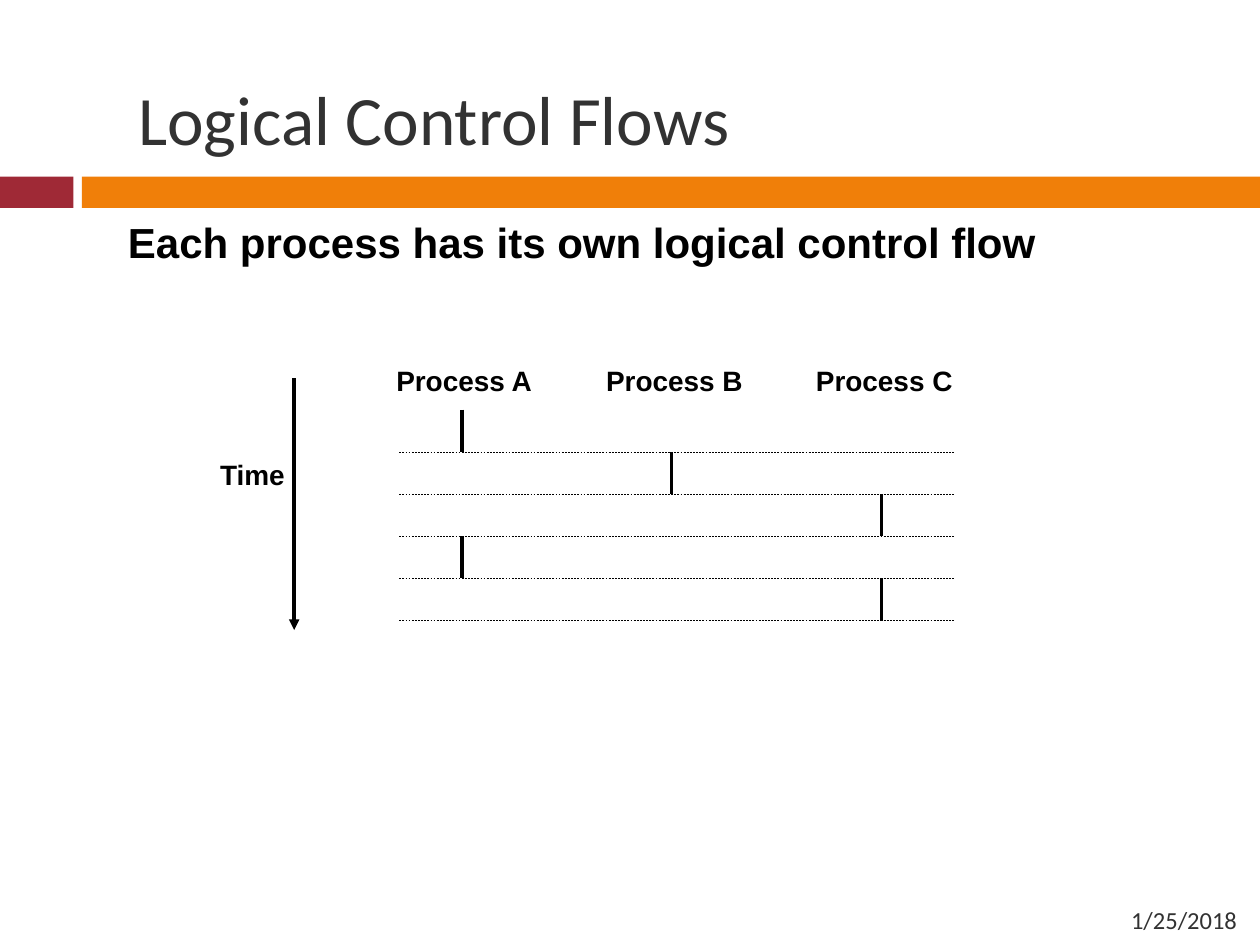
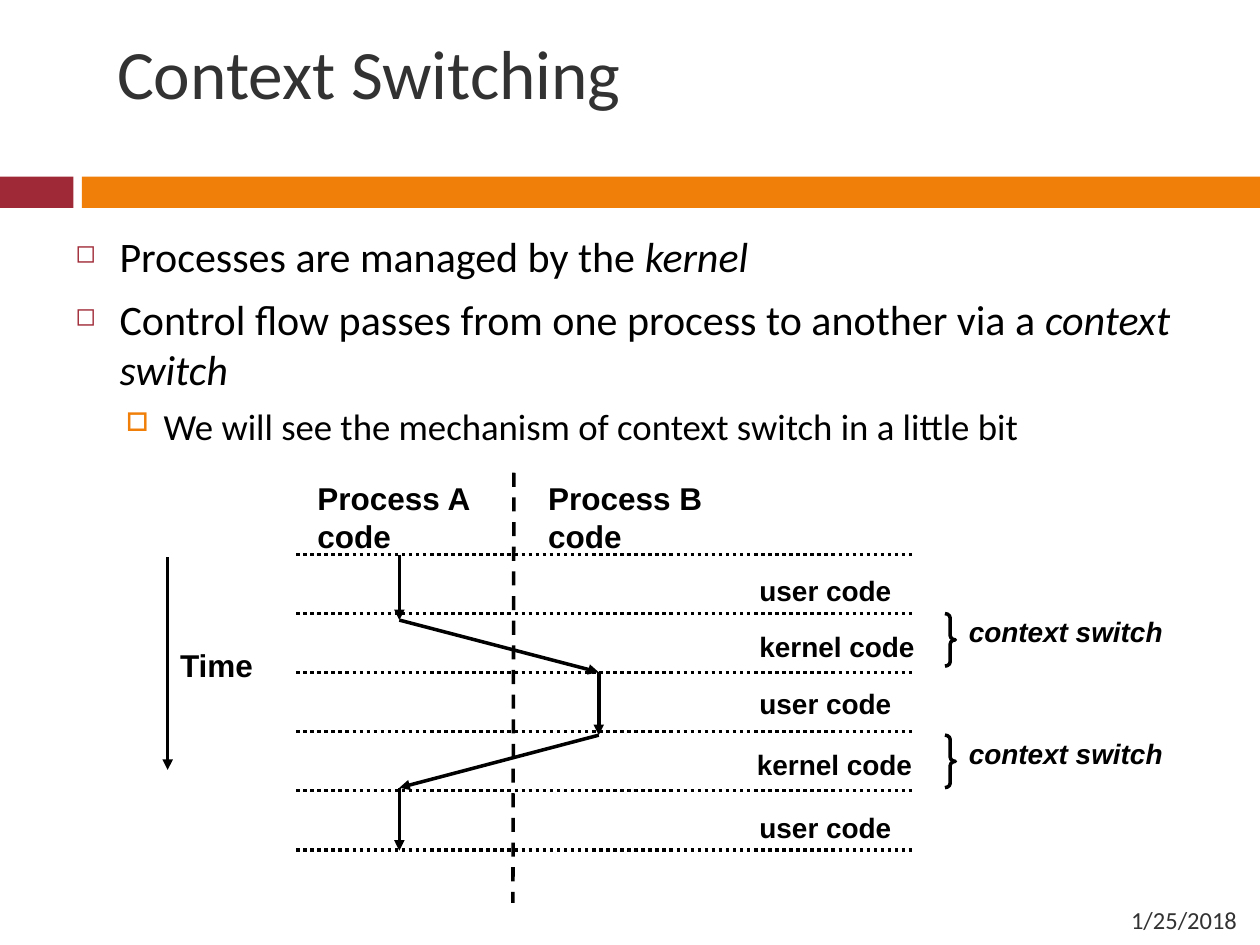
from itertools import pairwise

from lxml import etree
from pptx import Presentation
from pptx.dml.color import RGBColor
from pptx.enum import dml, shapes, text
from pptx.oxml import ns
from pptx.util import Cm, Pt

COLORS = {
    "crimson": "9F2936",
    "orange": "F07F09",
    "charcoal": "323232",
    "black": "000000",
}
FORMATS = {
    "title": {"name": "Calibri", "size": Pt(39.6)},
    "date": {"name": "Calibri", "size": Pt(14)},
    "headline": {"name": "Arial", "size": Pt(24), "bold": True},
    "heading": {"name": "Arial", "size": Pt(18), "bold": True},
    "label": {"name": "Arial", "size": Pt(16), "bold": True},
    "remark": {"name": "Arial", "size": Pt(16), "bold": True, "italic": True},
    "point": {"name": "Calibri", "size": Pt(24)},
    "subpoint": {"name": "Calibri", "size": Pt(21)},
}
DASH = dml.MSO_LINE.DASH
DOTS = dml.MSO_LINE.ROUND_DOT


def add_text(slide, left, top, width, height, lines, style, color="black", **frame_format):
    """Add a text box; each line is a list of (words, italic) runs or a string."""
    box = slide.shapes.add_textbox(Cm(left), Cm(top), Cm(width), Cm(height))
    frame = box.text_frame
    frame.word_wrap = False
    for name, value in frame_format.items():
        setattr(frame, name, value)
    for index, line in enumerate(lines):
        paragraph = frame.add_paragraph() if index else frame.paragraphs[0]
        runs = [(line, None)] if isinstance(line, str) else line
        for words, italic in runs:
            run = paragraph.add_run()
            run.text = words
            for name, value in FORMATS[style].items():
                setattr(run.font, name, value)
            if italic:
                run.font.italic = True
            run.font.color.rgb = RGBColor.from_string(COLORS[color])
    return frame


def add_line(slide, start, end, width=2, dash=None, arrow=False):
    """Draw a straight black line between two points, with an optional arrowhead."""
    connector = slide.shapes.add_connector(
        shapes.MSO_CONNECTOR.STRAIGHT, *(Cm(length) for length in (*start, *end)))
    connector.line.width = Pt(width)
    connector.line.color.rgb = RGBColor.from_string(COLORS["black"])
    if dash:
        connector.line.dash_style = dash
    if arrow:
        etree.SubElement(connector.line._get_or_add_ln(), ns.qn("a:tailEnd"), type="triangle")
    etree.SubElement(connector._element.spPr, ns.qn("a:effectLst"))


presentation = Presentation()
presentation.slide_width, presentation.slide_height = Cm(25.4), Cm(19.05)

# What both slides share: bands, title and date
titles = [
    ("Logical Control Flows", 2.54, 1.57),
    ("Context Switching", 2.11, 0.64),
]
for title, left, top in titles:
    slide = presentation.slides.add_slide(presentation.slide_layouts[6])
    for band_left, band_width, color in ((0, 1.48, "crimson"), (1.65, 23.75, "orange")):
        band = slide.shapes.add_shape(
            shapes.MSO_SHAPE.RECTANGLE, Cm(band_left), Cm(3.56), Cm(band_width), Cm(0.63))
        band.shadow.inherit = False
        band.fill.solid()
        band.fill.fore_color.rgb = RGBColor.from_string(COLORS[color])
        band.line.fill.background()
    add_text(slide, left, top, 16.5, 1.6, [title], "title", "charcoal",
             word_wrap=True, vertical_anchor=text.MSO_ANCHOR.MIDDLE)
    date = add_text(slide, 17.78, 18.03, 7.41, 1.02, ["1/25/2018"], "date", "charcoal",
                    word_wrap=True, vertical_anchor=text.MSO_ANCHOR.MIDDLE)
    date.paragraphs[0].alignment = text.PP_ALIGN.RIGHT

flows_slide, switching_slide = presentation.slides

# Logical control flows: one column per process, one row per time slice
add_text(flows_slide, 2.33, 4.23, 18.82, 1.27,
         ["Each process has its own logical control flow"], "headline")
add_line(flows_slide, (5.93, 7.62), (5.93, 12.7), arrow=True)
add_text(flows_slide, 4.19, 9.1, 1.83, 0.94, ["Time"], "label")

column_left, column_step = 9.31, 4.23
slice_top, slice_step = 8.26, 0.85
for column, process in enumerate("ABC"):
    add_text(flows_slide, column_left - 1.57 + column * column_step, 7.2, 3.28, 0.94,
             [f"Process {process}"], "label")
for row, process in enumerate("ABCAC"):
    x = column_left + "ABC".index(process) * column_step
    y = slice_top + row * slice_step
    add_line(flows_slide, (x, y), (x, y + slice_step))
    add_line(flows_slide, (8.05, y + slice_step), (19.25, y + slice_step), 0.25, DASH)

# Context switching: bullet points
points = [
    [("Processes are managed by the ", False), ("kernel", True)],
    [("Control flow passes from one process to another via a ", False),
     ("context switch", True)],
    "We will see the mechanism of context switch in a little bit",
]
# Level, space before, margin, indent, bullet colour, bullet size and bullet
main_bullet = (0, 7, 0.89, -0.89, "crimson", "60000", "\u25fb")
sub_bullet = (1, 5.5, 1.78, -0.76, "orange", "70000", "\u25a1")
body = add_text(switching_slide, 1.27, 4.52, 23.04, 6.3, points, "point", word_wrap=True)
for paragraph, bullet in zip(body.paragraphs, (main_bullet, main_bullet, sub_bullet)):
    level, space, margin, indent, color, size, character = bullet
    paragraph.level = level
    paragraph.space_before = Pt(space)
    properties = paragraph._p.get_or_add_pPr()
    properties.set("marL", str(Cm(margin)))
    properties.set("indent", str(Cm(indent)))
    bullet_color = etree.SubElement(properties, ns.qn("a:buClr"))
    etree.SubElement(bullet_color, ns.qn("a:srgbClr"), val=COLORS[color])
    etree.SubElement(properties, ns.qn("a:buSzPct"), val=size)
    etree.SubElement(properties, ns.qn("a:buChar"), char=character)
body.paragraphs[2].runs[0].font.size = FORMATS["subpoint"]["size"]

# Context switching: control passes from process A to B and back
for left, process in ((6.15, "A"), (10.8, "B")):
    add_text(switching_slide, left, 9.53, 3.61, 1.78, [f"Process {process}", "code"], "heading")
flow = [(8.05, 11.18), (8.05, 12.5), (12.07, 13.55),
        (12.07, 14.82), (8.05, 15.88), (8.05, 17.15)]
for start, end in pairwise(flow):
    add_line(switching_slide, start, end, arrow=True)
add_line(switching_slide, (10.36, 9.53), (10.34, 18.2), dash=DASH)
for row in range(6):
    y = 11.18 + row * 1.19
    add_line(switching_slide, (5.97, y), (18.44, y), dash=DOTS)

modes = [("user", 15.06, 11.43), ("kernel", 15.06, 12.57), ("user", 15.06, 13.72),
         ("kernel", 15.01, 14.94), ("user", 15.06, 16.21)]
for mode, left, top in modes:
    add_text(switching_slide, left, top, 3.66, 0.94, [f"{mode} code"], "label")

add_line(switching_slide, (3.38, 11.23), (3.38, 15.52), arrow=True)
add_text(switching_slide, 3.38, 12.9, 1.98, 1.02, ["Time"], "heading")

for top in (12.37, 14.82):
    brace = switching_slide.shapes.add_shape(
        shapes.MSO_SHAPE.RIGHT_BRACE, Cm(19.05), Cm(top), Cm(0.21), Cm(1.06))
    brace.shadow.inherit = False
    brace.adjustments[0] = 0.42
    brace.fill.background()
    brace.line.width = Pt(2)
    brace.line.color.rgb = RGBColor.from_string(COLORS["black"])
    add_text(switching_slide, 19.28, top - 0.1, 4.42, 0.94, ["context switch"], "remark")

presentation.save("out.pptx")
